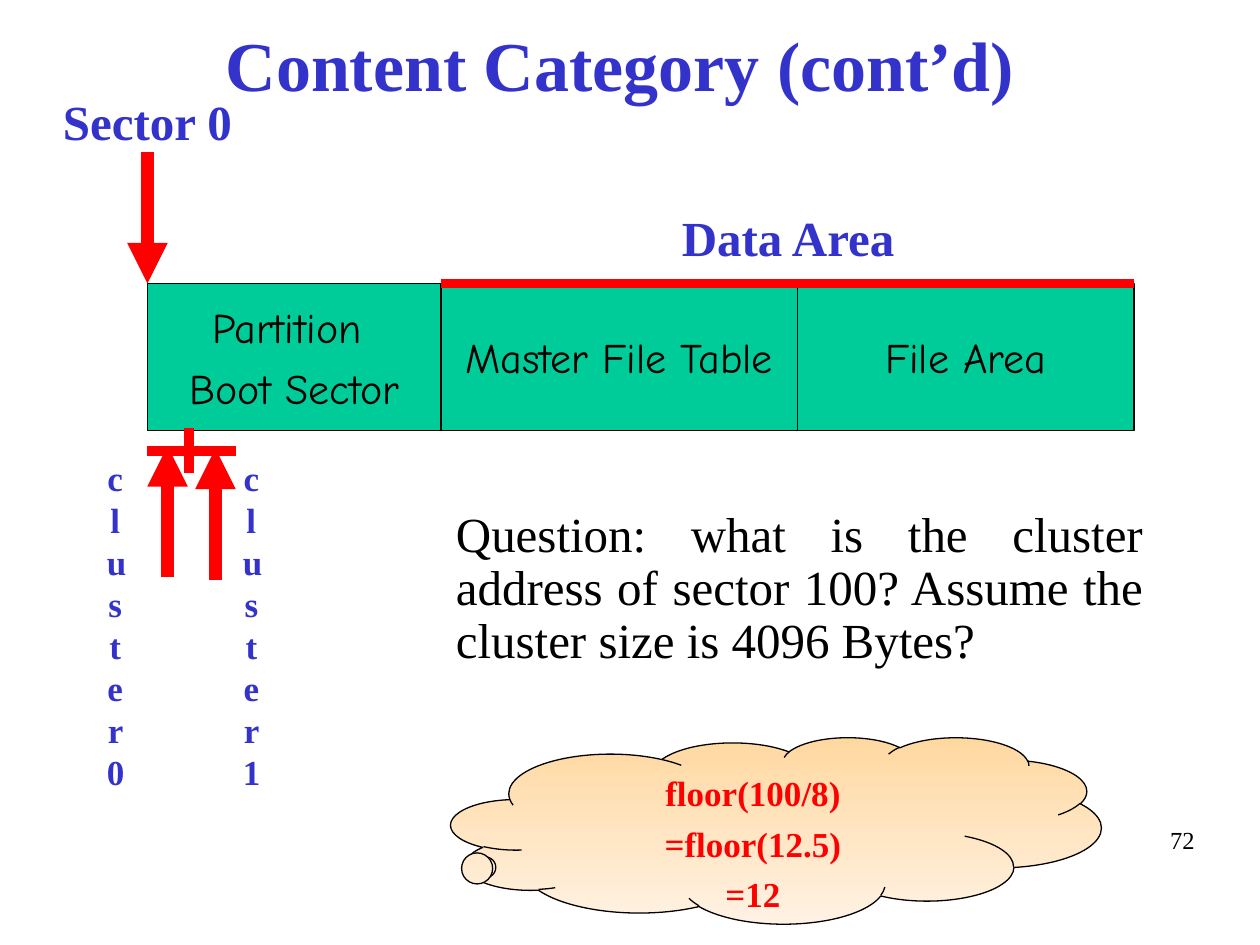
from lxml.etree import SubElement
from pptx import Presentation
from pptx.dml.color import RGBColor
from pptx.enum.shapes import MSO_CONNECTOR, MSO_SHAPE
from pptx.enum.text import MSO_ANCHOR, PP_ALIGN
from pptx.oxml.ns import qn
from pptx.util import Inches, Pt

COLORS = {"blue": "3333CC", "red": "FF0000", "green": "00CC99", "black": "000000",
          "cloud_top": "FFD8A0", "cloud_bottom": "FFF2E3"}
SERIF = "Times New Roman"
HAND = "Comic Neue"


def rgb(name):
    """Return the named colour."""
    return RGBColor.from_string(COLORS[name])


def write(shape, text, size, color, bold=False, font=SERIF, align=PP_ALIGN.CENTER,
          anchor=MSO_ANCHOR.MIDDLE, wrap=True, gap=0):
    """Fill a shape with evenly formatted paragraphs."""
    frame = shape.text_frame
    frame.text = text
    frame.word_wrap = wrap
    frame.vertical_anchor = anchor
    for index, para in enumerate(frame.paragraphs):
        para.alignment = align
        para.space_before = Pt(gap if index else 0)
        for span in para.runs:
            span.font.size = Pt(size)
            span.font.name = font
            span.font.bold = bold
            span.font.color.rgb = rgb(color)


def add_label(page, box, text, size, color="blue", bold=True, **style):
    """Add a text box at the given box and return it."""
    label = page.shapes.add_textbox(*map(Inches, box))
    write(label, text, size, color, bold, **style)
    return label


def add_line(page, start, end, width=5.25, arrow=False):
    """Draw a red line, with an arrowhead at its end when asked."""
    line = page.shapes.add_connector(MSO_CONNECTOR.STRAIGHT, *map(Inches, start + end))
    line.line.color.rgb = rgb("red")
    line.line.width = Pt(width)
    if arrow:
        SubElement(line.line._get_or_add_ln(), qn("a:tailEnd"), type="triangle")
    SubElement(line._element.spPr, qn("a:effectLst"))


def add_outlined(page, kind, box):
    """Add a shape with a thin black outline and no shadow."""
    shape = page.shapes.add_shape(kind, *map(Inches, box))
    shape.shadow.inherit = False
    shape.line.color.rgb = rgb("black")
    shape.line.width = Pt(0.75)
    return shape


def add_title(page, box):
    """Place and format the title."""
    title = page.shapes.title
    title.left, title.top, title.width, title.height = map(Inches, box)
    write(title, "Content Category (cont’d)", 40, "blue", True)


def add_partition(page, box):
    """Draw the partition's areas side by side, with the data area marked."""
    left, top, width, height = box
    edges = [left, 3.5, 6.33, left + width]
    names = ["Partition \nBoot Sector", "Master File Table", "File Area"]
    for name, start, end in zip(names, edges, edges[1:]):
        area = add_outlined(page, MSO_SHAPE.RECTANGLE, (start, top, end - start, height))
        area.fill.solid()
        area.fill.fore_color.rgb = rgb("green")
        write(area, name, 24, "black", font=HAND, wrap=False, gap=6)
    add_line(page, (edges[1], top), (edges[-1], top))
    add_label(page, (4.67, top - 0.58, 3.17, 0.42), "Data Area", 28)
    add_label(page, (left - 1, top - 1.5, 2, 0.42), "Sector 0", 28)
    add_line(page, (left, top - 1.04), (left, top), 7.75, arrow=True)


def add_clusters(page, box):
    """Mark the first two clusters below the partition."""
    left, top, width, height = box
    for name, label_left, bar_left, tip in (("cluster 0", left, 1.17, (1.33, 3.54)),
                                            ("cluster 1", left + width - 0.33, 1.54, (1.71, 3.56))):
        add_line(page, (tip[0], tip[1] + 1.04), tip, 7.75, arrow=True)
        add_line(page, (bar_left, top + 0.25), (bar_left + 0.33, top + 0.25))
        add_label(page, (label_left, top, 0.33, height), name, 20)
    add_line(page, (1.5, 3.4), (1.5, 3.75))


def add_question(page, box):
    """Add the justified question."""
    question = add_label(
        page, box, "Question: what is the cluster address of sector 100? "
        "Assume the cluster size is 4096 Bytes?", 28, "black", False,
        align=PP_ALIGN.JUSTIFY, anchor=MSO_ANCHOR.TOP)
    question.text_frame.paragraphs[0].line_spacing = 0.9


def add_answer(page, box):
    """Add the cloud with the worked answer."""
    cloud = add_outlined(page, MSO_SHAPE.CLOUD_CALLOUT, box)
    cloud.adjustments[0] = -0.45
    cloud.adjustments[1] = 0.2
    cloud.fill.gradient()
    cloud.fill.gradient_angle = 270
    for stop, name, position in zip(cloud.fill.gradient_stops, ("cloud_top", "cloud_bottom"), (0, 1)):
        stop.color.rgb = rgb(name)
        stop.position = position
    write(cloud, "floor(100/8)\n=floor(12.5)\n=12", 20, "red", True,
          anchor=MSO_ANCHOR.TOP, gap=5)


def main():
    """Build the slide and save the deck."""
    deck = Presentation()
    deck.slide_width, deck.slide_height = Inches(10), Inches(7.5)
    page = deck.slides.add_slide(deck.slide_layouts[5])
    add_title(page, (0.67, 0.17, 8.5, 0.67))
    add_label(page, (8.74, 6.5, 0.84, 0.5), "72", 14, "black", False,
              align=PP_ALIGN.RIGHT, anchor=MSO_ANCHOR.TOP)
    add_partition(page, (1.17, 2.25, 7.83, 1.17))
    add_clusters(page, (0.75, 3.33, 1.41, 3.25))
    add_question(page, (3.52, 4, 5.65, 1.85))
    add_answer(page, (3.58, 5.85, 5.16, 1.48))
    deck.save("out.pptx")


if __name__ == "__main__":
    main()
